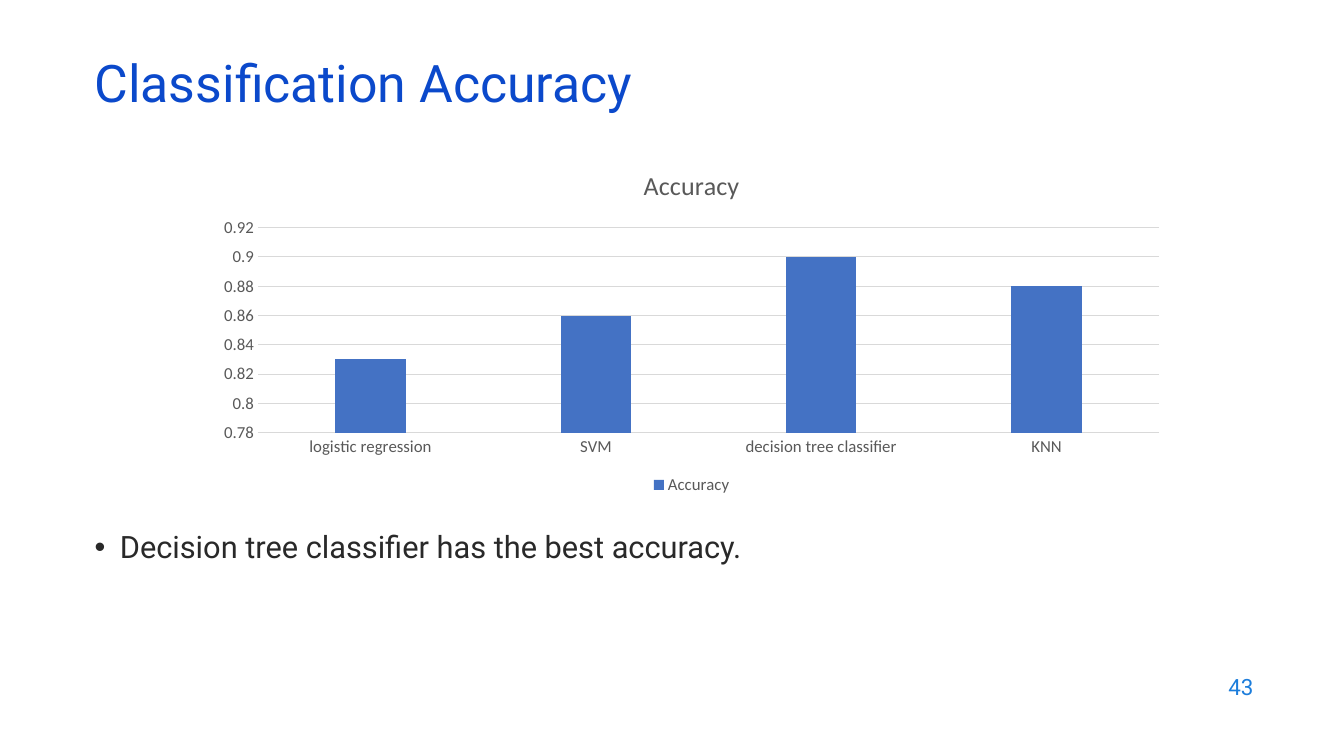
from lxml.etree import SubElement
from pptx import Presentation
from pptx.chart.data import CategoryChartData
from pptx.dml.color import RGBColor
from pptx.enum.chart import XL_CHART_TYPE, XL_LEGEND_POSITION, XL_TICK_MARK
from pptx.enum.text import MSO_ANCHOR, PP_ALIGN
from pptx.oxml.ns import qn
from pptx.util import Inches, Pt

TITLE_BLUE = RGBColor(0x0B, 0x49, 0xCB)
NUMBER_BLUE = RGBColor(0x1C, 0x7D, 0xDB)
BODY_INK = RGBColor(0x29, 0x29, 0x29)
CHART_INK = RGBColor(0x59, 0x59, 0x59)
GRID_GREY = RGBColor(0xD9, 0xD9, 0xD9)
BAR_BLUE = RGBColor(0x44, 0x72, 0xC4)

ACCURACIES = {
    "logistic regression": 0.83,
    "SVM": 0.86,
    "decision tree classifier": 0.9,
    "KNN": 0.88,
}


def set_all(target, formats):
    """Set every attribute of target named in formats."""
    for attribute, value in formats.items():
        setattr(target, attribute, value)


def style_font(font, name, size, color):
    """Apply typeface, point size and colour to a font."""
    set_all(font, {"name": name, "size": Pt(size), "bold": False})
    font.color.rgb = color


def add_bullet(paragraph, indent):
    """Give a paragraph a round bullet with a hanging indent."""
    properties = paragraph._p.get_or_add_pPr()
    properties.set("marL", str(indent))
    properties.set("indent", str(-indent))
    SubElement(properties, qn("a:buFont"), typeface="Arial")
    SubElement(properties, qn("a:buChar"), char="•")


def add_text(slide, text, box, size, color, anchor=MSO_ANCHOR.MIDDLE, bullet=False, **formats):
    """Add a one-paragraph text box."""
    frame = slide.shapes.add_textbox(*map(Inches, box)).text_frame
    set_all(frame, {"word_wrap": True, "vertical_anchor": anchor})
    paragraph = frame.paragraphs[0]
    set_all(paragraph, formats)
    if bullet:
        add_bullet(paragraph, Inches(0.25))
    run = paragraph.add_run()
    run.text = text
    style_font(run.font, "Roboto", size, color)


def style_line(line, color, width):
    """Set the colour and point width of a line."""
    line.color.rgb = color
    line.width = Pt(width)


def style_axes(chart):
    """Format the category and value axes."""
    for axis in (chart.category_axis, chart.value_axis):
        set_all(axis, {"major_tick_mark": XL_TICK_MARK.NONE, "minor_tick_mark": XL_TICK_MARK.NONE})
        style_font(axis.tick_labels.font, "Calibri", 12, CHART_INK)
    style_line(chart.category_axis.format.line, GRID_GREY, 0.75)
    scale = chart.value_axis
    set_all(scale, {"minimum_scale": 0.78, "maximum_scale": 0.92, "major_unit": 0.02})
    scale.format.line.fill.background()
    style_line(scale.major_gridlines.format.line, GRID_GREY, 0.75)


def add_accuracy_chart(slide, box):
    """Add the column chart of classifier accuracies."""
    data = CategoryChartData()
    data.categories = list(ACCURACIES)
    data.add_series("Accuracy", list(ACCURACIES.values()))
    chart = slide.shapes.add_chart(
        XL_CHART_TYPE.COLUMN_CLUSTERED, *map(Inches, box), data
    ).chart
    style_font(chart.font, "Calibri", 10, CHART_INK)
    style_axes(chart)

    heading = chart.chart_title.text_frame
    heading.text = "Accuracy"
    style_font(heading.paragraphs[0].runs[0].font, "Calibri", 18.6, CHART_INK)

    chart.has_legend = True
    set_all(chart.legend, {"position": XL_LEGEND_POSITION.BOTTOM, "include_in_layout": False})
    style_font(chart.legend.font, "Calibri", 12, CHART_INK)

    columns = chart.plots[0]
    set_all(columns, {"gap_width": 219, "overlap": -27, "vary_by_categories": False})
    fill = columns.series[0].format.fill
    fill.solid()
    fill.fore_color.rgb = BAR_BLUE


def main():
    """Build and save the classification accuracy slide."""
    deck = Presentation()
    set_all(deck, {"slide_width": Inches(13.33), "slide_height": Inches(7.5)})
    slide = deck.slides.add_slide(deck.slide_layouts[6])
    add_text(slide, "43", (9.53, 6.59, 3, 0.44), 16, NUMBER_BLUE, alignment=PP_ALIGN.RIGHT)
    add_text(slide, "Decision tree classifier has the best accuracy.", (0.84, 5.19, 11.58, 1.25),
             22, BODY_INK, anchor=MSO_ANCHOR.TOP, bullet=True)
    add_text(slide, "Classification Accuracy", (0.84, 0.59, 11.5, 0.6), 37, TITLE_BLUE,
             line_spacing=0.7)
    add_accuracy_chart(slide, (2.03, 1.49, 9.66, 3.46))
    deck.save("out.pptx")


if __name__ == "__main__":
    main()
